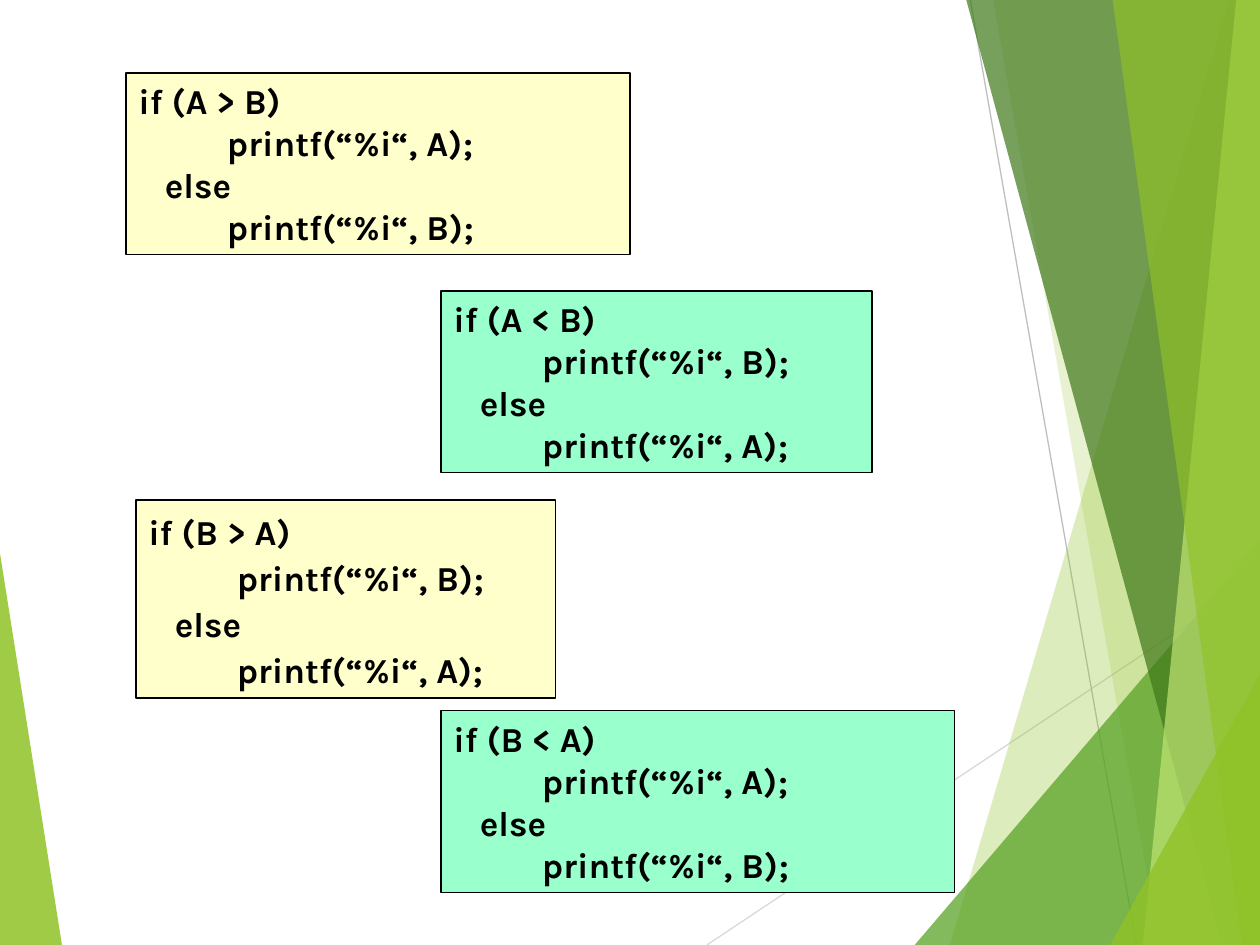
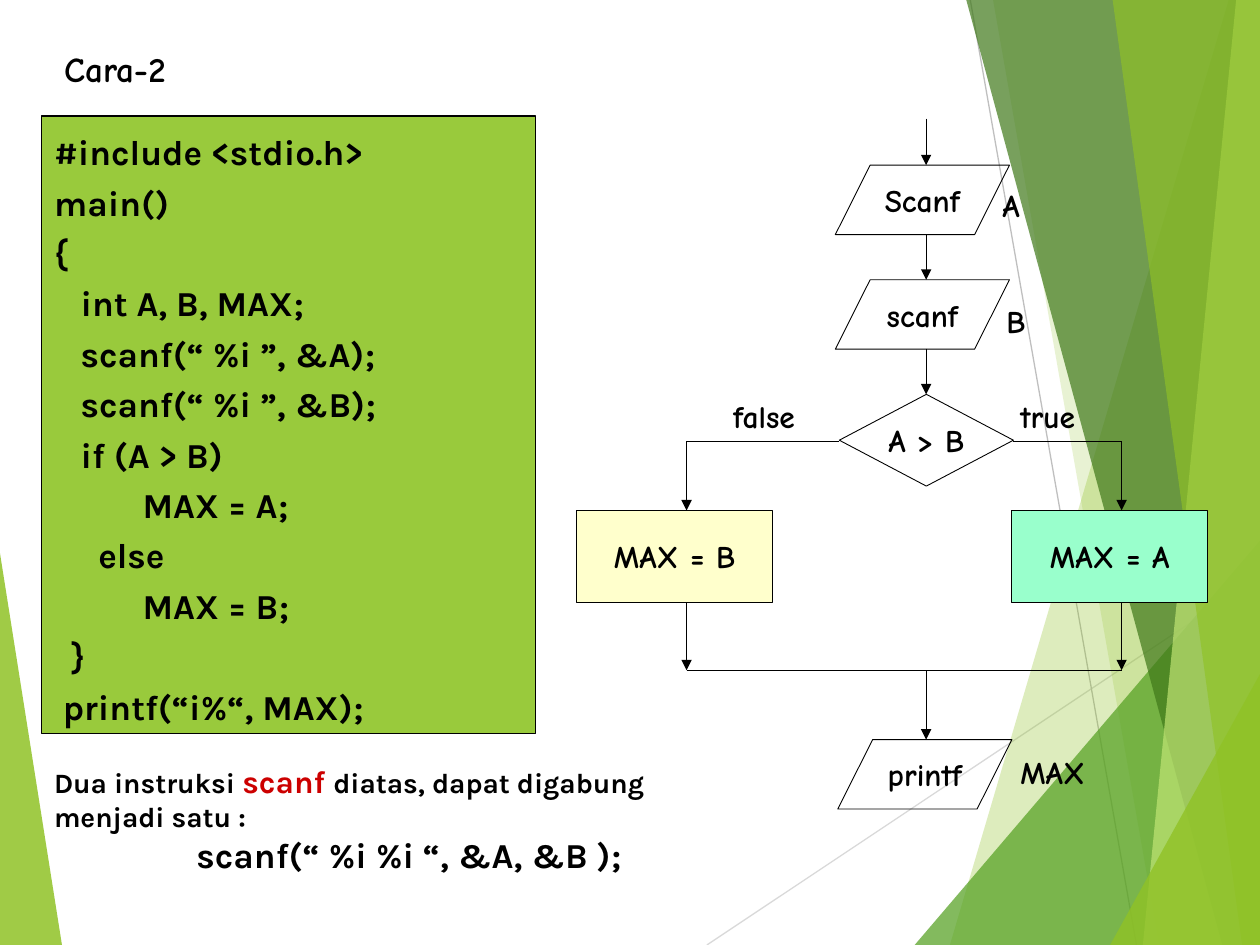
from dataclasses import dataclass

from lxml.etree import SubElement
from pptx import Presentation
from pptx.dml.color import RGBColor
from pptx.enum.shapes import MSO_CONNECTOR, MSO_SHAPE
from pptx.enum.text import MSO_ANCHOR, MSO_AUTO_SIZE, PP_ALIGN
from pptx.oxml.ns import qn
from pptx.util import Cm, Pt


@dataclass(frozen=True)
class Theme:
    code_font: str = "Karla"
    flow_font: str = "Comic Neue"
    code_size: int = 20
    flow_size: int = 18
    note_size: int = 16
    ink: str = "000000"
    keyword: str = "CC0000"
    cream: str = "FFFFCC"
    mint: str = "99FFCC"
    program: str = "99CA3C"
    leaf: str = "90C226"
    grass: str = "54A021"
    forest: str = "3F7819"
    lime: str = "C0E474"
    light_rule: str = "D9D9D9"
    dark_rule: str = "BFBFBF"


THEME = Theme()
WIDTH, HEIGHT = 25.4, 19.05


def draw_line(slide, start, end, color, weight, arrow=False):
    line = slide.shapes.add_connector(
        MSO_CONNECTOR.STRAIGHT, *[Cm(value) for value in (*start, *end)]
    )
    line.line.color.rgb = RGBColor.from_string(color)
    line.line.width = Pt(weight)
    properties = line.element.spPr
    if arrow:
        SubElement(properties.find(qn("a:ln")), qn("a:tailEnd"), type="triangle")
    SubElement(properties, qn("a:effectLst"))


def write(shape, text, font, size, spacing=1.0, centred=False, wrap=True):
    frame = shape.text_frame
    frame.text = text
    frame.word_wrap = wrap
    frame.auto_size = MSO_AUTO_SIZE.NONE
    frame.vertical_anchor = MSO_ANCHOR.MIDDLE if centred else MSO_ANCHOR.TOP
    for paragraph in frame.paragraphs:
        paragraph.alignment = PP_ALIGN.CENTER if centred else PP_ALIGN.LEFT
        paragraph.line_spacing = spacing
        for run in paragraph.runs:
            run.font.name = font
            run.font.size = Pt(size)
            run.font.bold = True
            run.font.color.rgb = RGBColor.from_string(THEME.ink)


prs = Presentation()
prs.slide_width, prs.slide_height = Cm(WIDTH), Cm(HEIGHT)
comparisons = prs.slides.add_slide(prs.slide_layouts[6])

draw_line(comparisons, (14.25, HEIGHT), (WIDTH, 11.62), THEME.light_rule, 0.75)
draw_line(comparisons, (19.56, 0), (22.91, HEIGHT), THEME.dark_rule, 0.75)

bottom_right, top_right = (WIDTH, HEIGHT), (WIDTH, 0)
facets = [
    ([(0, 11.15), (1.25, HEIGHT), (0, HEIGHT)], THEME.leaf, 85),
    ([(24.77, 0), (19.15, HEIGHT), bottom_right, top_right], THEME.leaf, 30),
    ([(20.02, 0), (23.37, HEIGHT), bottom_right, top_right], THEME.leaf, 20),
    ([(18.44, HEIGHT), (WIDTH, 10.9), bottom_right], THEME.grass, 72),
    ([(19.48, 0), (24.64, HEIGHT), bottom_right, top_right], THEME.forest, 70),
    ([(24.92, 0), (23.04, HEIGHT), bottom_right, top_right], THEME.lime, 70),
    ([(22.43, 0), (25.04, HEIGHT), bottom_right, top_right], THEME.leaf, 65),
    ([(22.38, HEIGHT), (WIDTH, 13.59), bottom_right], THEME.leaf, 80),
]
for corners, color, opacity in facets:
    first, *others = [(Cm(x), Cm(y)) for x, y in corners]
    outline = comparisons.shapes.build_freeform(*first)
    outline.add_line_segments(others, close=True)
    facet = outline.convert_to_shape()
    facet.shadow.inherit = False
    facet.fill.solid()
    facet.fill.fore_color.rgb = RGBColor.from_string(color)
    facet.line.fill.background()
    tint = facet.element.spPr.find(qn("a:solidFill")).find(qn("a:srgbClr"))
    SubElement(tint, qn("a:alpha"), val=str(opacity * 1000))

master_tree = prs.slide_master.shapes.element
for position, decoration in enumerate(list(comparisons.shapes)):
    decoration.element.xpath(".//p:cNvPr")[0].set("id", str(100 + position))
    master_tree.insert(2 + position, decoration.element)

branches = [
    ("A > B", "A", "B", (2.54, 1.47, 10.16, 3.66), THEME.cream, 1.0),
    ("A < B", "B", "A", (8.89, 5.87, 8.69, 3.66), THEME.mint, 1.0),
    ("B > A", "B", "A", (2.74, 10.08, 8.46, 3.99), THEME.cream, 1.1),
    ("B < A", "A", "B", (8.89, 14.33, 10.36, 3.66), THEME.mint, 1.0),
]
code_panels = [
    (
        comparisons,
        f"if ({condition})\n          printf(“%i“, {larger});\n"
        f"   else\n          printf(“%i“, {smaller});",
        bounds, color, spacing,
    )
    for condition, larger, smaller, bounds, color, spacing in branches
]

maximum = prs.slides.add_slide(prs.slide_layouts[5])
program = """#include <stdio.h>
main()
{
   int A, B, MAX;
   scanf(“ %i ”, &A);
   scanf(“ %i ”, &B);
   if (A > B)
          MAX = A;
     else
          MAX = B;
  }
 printf(“i%“, MAX);"""
code_panels.append((maximum, program, (0.84, 2.34, 9.96, 12.45), THEME.program, 1.2))

for slide, code, bounds, color, spacing in code_panels:
    panel = slide.shapes.add_shape(MSO_SHAPE.RECTANGLE, *[Cm(v) for v in bounds])
    panel.shadow.inherit = False
    panel.fill.solid()
    panel.fill.fore_color.rgb = RGBColor.from_string(color)
    panel.line.color.rgb = RGBColor.from_string(THEME.ink)
    panel.line.width = Pt(0.75)
    write(panel, code, THEME.code_font, THEME.code_size, spacing)

heading = maximum.shapes.title
heading.left, heading.top, heading.width, heading.height = (
    Cm(1.04), Cm(0.84), Cm(2.57), Cm(1.12)
)
write(heading, "Cara-2", THEME.flow_font, THEME.code_size, wrap=False)

note = maximum.shapes.add_textbox(Cm(0.84), Cm(15.24), Cm(14.5), Cm(2.54))
write(note, "Dua instruksi \nscanf(“ %i %i “, &A, &B );", THEME.code_font, THEME.note_size)
remark, combined = note.text_frame.paragraphs
for words, size, color in [
    ("scanf ", THEME.flow_size, THEME.keyword),
    ("diatas, dapat digabung menjadi satu :", THEME.note_size, THEME.ink),
]:
    run = remark.add_run()
    run.text = words
    run.font.name = THEME.code_font
    run.font.size = Pt(size)
    run.font.bold = True
    run.font.color.rgb = RGBColor.from_string(color)
combined.runs[0].font.size = Pt(THEME.code_size)
combined._p.get_or_add_pPr().set("marL", str(Cm(2.87)))

main_x, false_x, true_x = 18.67, 13.84, 22.61
branch_y, process_y, merge_y, output_y = 8.89, 10.29, 13.51, 14.91
process_end = 12.12
for start, end, arrow in [
    ((main_x, 2.39), (main_x, 3.33), True),
    ((main_x, 4.72), (main_x, 5.64), True),
    ((main_x, 7.03), (main_x, 7.95), True),
    ((16.92, branch_y), (false_x, branch_y), False),
    ((20.42, branch_y), (true_x, branch_y), False),
    ((false_x, branch_y), (false_x, process_y), True),
    ((true_x, branch_y), (true_x, process_y), True),
    ((false_x, process_end), (false_x, merge_y), True),
    ((true_x, process_end), (true_x, merge_y), True),
    ((false_x, merge_y), (true_x, merge_y), False),
    ((main_x, merge_y), (main_x, output_y), True),
]:
    draw_line(maximum, start, end, THEME.ink, 0.5, arrow)

data, decision, process = (
    MSO_SHAPE.FLOWCHART_DATA, MSO_SHAPE.FLOWCHART_DECISION, MSO_SHAPE.RECTANGLE
)
for kind, words, bounds, color in [
    (data, "Scanf", (16.84, 3.33, 3.51, 1.4), None),
    (data, "scanf", (16.84, 5.64, 3.51, 1.4), None),
    (data, "printf", (16.89, output_y, 3.51, 1.4), None),
    (decision, "A > B", (16.92, 7.95, 3.51, 1.85), None),
    (process, "MAX = A", (20.4, process_y, 3.94, 1.85), THEME.mint),
    (process, "MAX = B", (11.63, process_y, 3.94, 1.85), THEME.cream),
]:
    step = maximum.shapes.add_shape(kind, *[Cm(v) for v in bounds])
    step.shadow.inherit = False
    if color:
        step.fill.solid()
        step.fill.fore_color.rgb = RGBColor.from_string(color)
    else:
        step.fill.background()
    step.line.color.rgb = RGBColor.from_string(THEME.ink)
    step.line.width = Pt(0.5)
    write(step, words, THEME.flow_font, THEME.flow_size, centred=True, wrap=False)

for words, left, top, width in [
    ("A", 19.96, 3.63, 0.86),
    ("B", 20.04, 5.97, 0.89),
    ("MAX", 20.32, 15.06, 1.8),
    ("false", 14.53, 7.87, 1.75),
    ("true", 20.32, 7.87, 1.6),
]:
    label = maximum.shapes.add_textbox(Cm(left), Cm(top), Cm(width), Cm(1.02))
    write(label, words, THEME.flow_font, THEME.flow_size, wrap=False)

prs.save("out.pptx")
